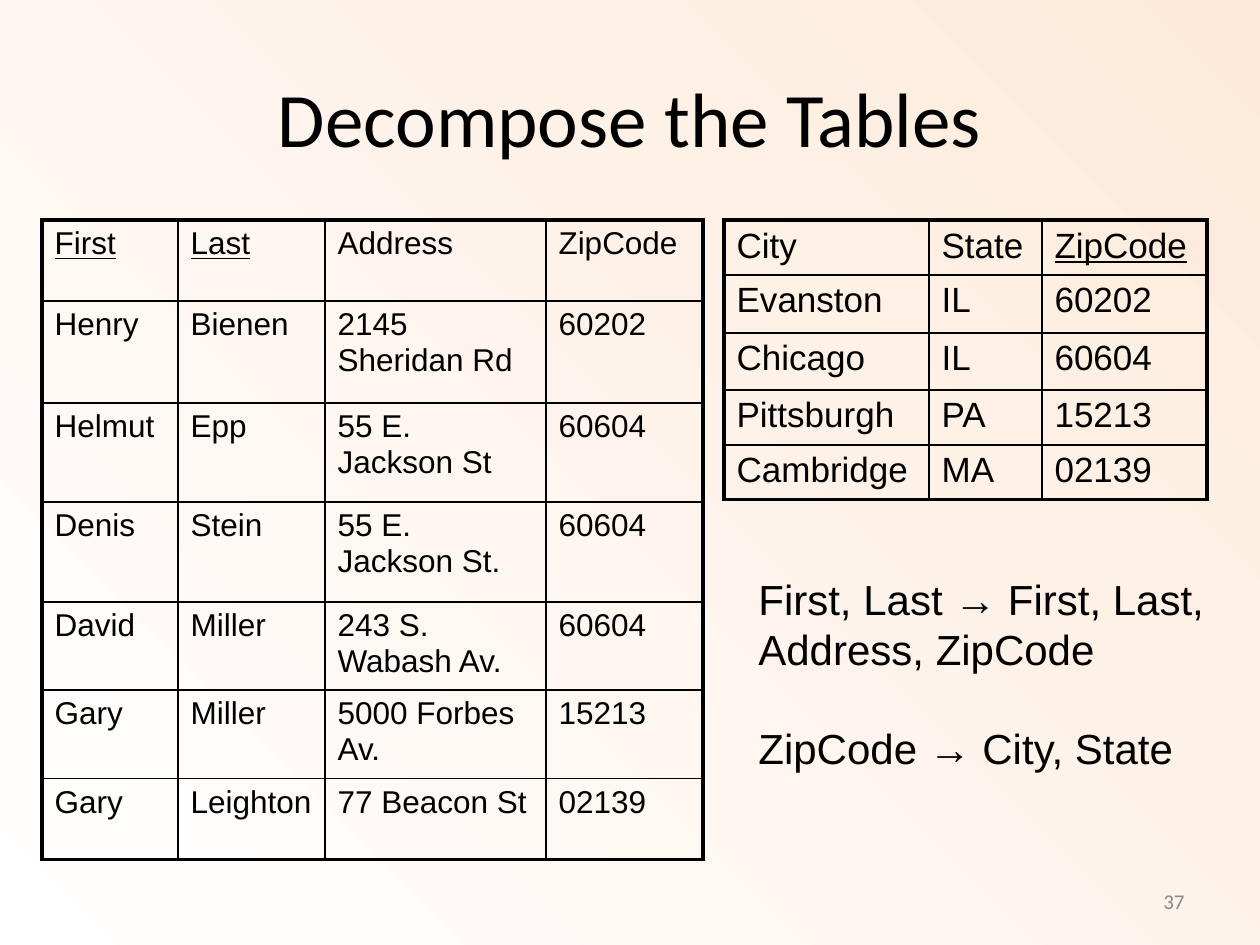
from dataclasses import dataclass

from lxml.etree import SubElement as Sub
from pptx import Presentation
from pptx.dml.color import RGBColor as RGB
from pptx.enum.text import MSO_ANCHOR as Anchor, PP_ALIGN as Align
from pptx.oxml import parse_xml
from pptx.oxml.ns import nsdecls, qn
from pptx.util import Pt

PX = 914400 / 126


@dataclass(frozen=True)
class Theme:
    ink: str = "000000"
    muted: str = "898989"
    near: str = "FFFFFF"
    far: str = "FDEADA"
    head: str = "Calibri"
    body: str = "Arial"
    title: int = 44
    note: int = 24
    large: int = 20
    small: int = 18
    page: int = 12
    thick: float = 2.25
    thin: float = 1


T = Theme()

PEOPLE = [
    ["First", "Last", "Address", "ZipCode"],
    ["Henry", "Bienen", "2145 Sheridan Rd", "60202"],
    ["Helmut", "Epp", "55 E. Jackson St", "60604"],
    ["Denis", "Stein", "55 E. Jackson St.", "60604"],
    ["David", "Miller", "243 S. Wabash Av.", "60604"],
    ["Gary", "Miller", "5000 Forbes Av.", "15213"],
    ["Gary", "Leighton", "77 Beacon St", "02139"],
]
ZIPS = [
    ["City", "State", "ZipCode"],
    ["Evanston", "IL", "60202"],
    ["Chicago", "IL", "60604"],
    ["Pittsburgh", "PA", "15213"],
    ["Cambridge", "MA", "02139"],
]
RULES = ["First, Last → First, Last, Address, ZipCode", "ZipCode → City, State"]


def emu(*vals):
    return [round(v * PX) for v in vals]


def style(para, size, face, color=T.ink):
    font = para.font
    font.size, font.name = Pt(size), face
    font.color.rgb = RGB.from_string(color)


def paint(slide):
    """Radial gradient that spreads from the lower left corner."""
    slide._element.cSld.insert(0, parse_xml(
        f'<p:bg {nsdecls("p", "a")}><p:bgPr><a:gradFill rotWithShape="1"><a:gsLst>'
        f'<a:gs pos="0"><a:srgbClr val="{T.near}"/></a:gs>'
        f'<a:gs pos="100000"><a:srgbClr val="{T.far}"/></a:gs></a:gsLst>'
        '<a:path path="circle"><a:fillToRect t="100000" r="100000"/></a:path>'
        '</a:gradFill><a:effectLst/></p:bgPr></p:bg>'))


def label(slide, box, lines, size, face, color=T.ink,
          align=Align.LEFT, anchor=Anchor.TOP, gap=0):
    frame = slide.shapes.add_textbox(*emu(*box)).text_frame
    frame.word_wrap, frame.vertical_anchor = True, anchor
    for i, line in enumerate(lines):
        para = frame.add_paragraph() if i else frame.paragraphs[0]
        para.text, para.alignment = line, align
        style(para, size, face, color)
        if i:
            para.space_before = Pt(gap)


def border(cell, outer):
    """Draw the four edges, thick where the edge is on the outside."""
    props = cell._tc.get_or_add_tcPr()
    for side in "LRTB":
        width = T.thick if side in outer else T.thin
        line = Sub(props, qn(f"a:ln{side}"), w=str(Pt(width)))
        Sub(Sub(line, qn("a:solidFill")), qn("a:srgbClr"), val=T.ink)


def grid(slide, left, top, cols, rows, data, keys, size):
    box = emu(left, top, sum(cols), sum(rows))
    table = slide.shapes.add_table(len(rows), len(cols), *box).table
    table.first_row = table.horz_banding = False
    for col, width in zip(table.columns, emu(*cols)):
        col.width = width
    for row, height in zip(table.rows, emu(*rows)):
        row.height = height
    for r, line in enumerate(data):
        for c, text in enumerate(line):
            cell = table.cell(r, c)
            cell.text = text
            para = cell.text_frame.paragraphs[0]
            style(para, size, T.body)
            if r == 0 and text in keys:
                para.runs[0].font.underline = True
            edges = {"L": c == 0, "R": c == len(cols) - 1,
                     "T": r == 0, "B": r == len(rows) - 1}
            border(cell, [side for side, on in edges.items() if on])
            cell.fill.background()


def main():
    deck = Presentation()
    deck.slide_width, deck.slide_height = emu(1260, 945)
    slide = deck.slides.add_slide(deck.slide_layouts[6])
    paint(slide)

    # Title
    label(slide, (63, 38, 1134, 157), ["Decompose the Tables"], T.title, T.head,
          align=Align.CENTER, anchor=Anchor.MIDDLE)

    # The two tables, primary keys underlined
    grid(slide, 724, 220, [205, 113, 165], [55, 58, 57, 55, 54],
         ZIPS, {"ZipCode"}, T.large)
    grid(slide, 42, 220, [136, 147, 221, 157], [81, 102, 99, 100, 88, 88, 81],
         PEOPLE, {"First", "Last"}, T.small)

    # Functional dependencies
    label(slide, (746, 567, 472, 214), RULES, T.note, T.body, gap=28)

    # Page number
    label(slide, (903, 876, 294, 50), ["37"], T.page, T.head, T.muted,
          Align.RIGHT, Anchor.MIDDLE)

    deck.save("out.pptx")


if __name__ == "__main__":
    main()
